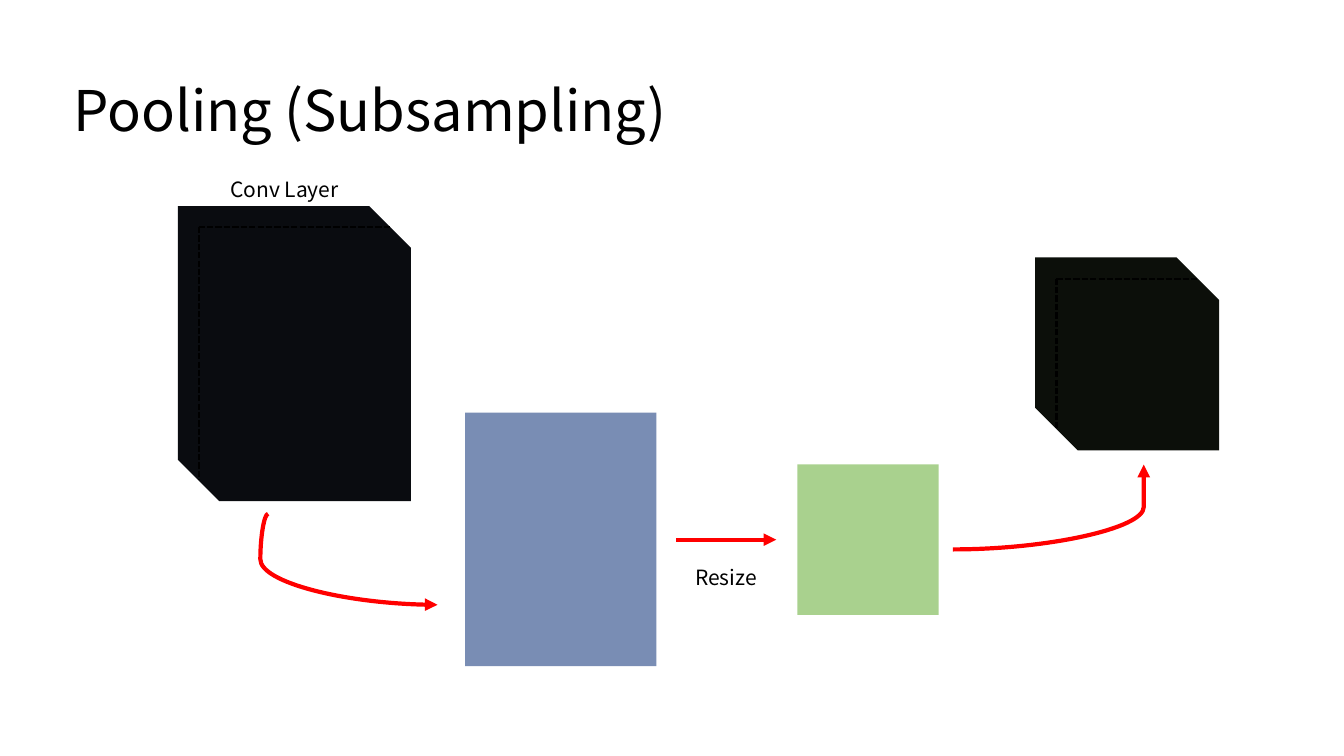
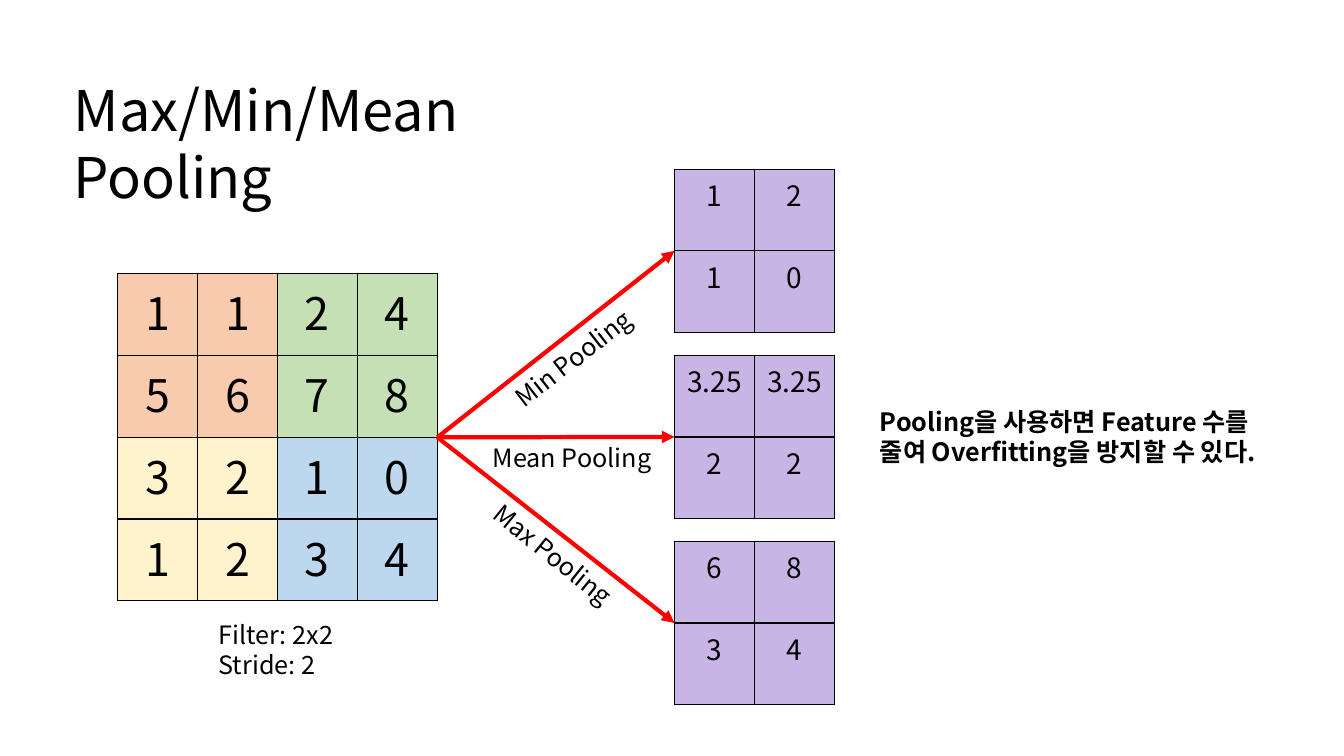
"""Build two slides that explain pooling in convolutional networks."""
from dataclasses import dataclass

from lxml import etree
from pptx import Presentation
from pptx.dml.color import RGBColor
from pptx.enum.dml import MSO_LINE
from pptx.enum.shapes import MSO_CONNECTOR, MSO_SHAPE
from pptx.enum.text import MSO_ANCHOR, PP_ALIGN
from pptx.oxml.ns import qn
from pptx.shapes.autoshape import Shape
from pptx.shapes.connector import Connector
from pptx.slide import Slide
from pptx.text.text import TextFrame
from pptx.util import Pt

LEFT, CENTER = PP_ALIGN.LEFT, PP_ALIGN.CENTER
TOP = MSO_ANCHOR.TOP
STRAIGHT, CURVE = MSO_CONNECTOR.STRAIGHT, MSO_CONNECTOR.CURVE
SNIPPED, RECT = MSO_SHAPE.SNIP_2_DIAG_RECTANGLE, MSO_SHAPE.RECTANGLE
SYS_DASH = MSO_LINE.SQUARE_DOT
FONT = "Noto Sans CJK KR"
TITLE_ONLY = 5
COLORS = {
    "black": "000000", "red": "FF0000", "conv": "0A0C10", "sheet": "798DB4",
    "pooled": "0C0F0A", "pooled_sheet": "A9D18E", "orange": "F8CBAD",
    "green": "C5E0B4", "yellow": "FFF3CD", "blue": "BDD7EE", "purple": "C9B4E6",
}
CELL_W, CELL_H = 57.1, 58.4


@dataclass
class Label:
    text: str
    x: float
    y: float
    w: float
    h: float
    size: float = 18
    align: PP_ALIGN = LEFT
    rotation: float = 0
    bold: bool = False


@dataclass
class Stack:
    x: float
    y: float
    w: float
    h: float
    adj: float
    color: str
    sheet_x: float
    sheet_y: float
    sheet_color: str


@dataclass
class Grid:
    x: float
    y: float
    size: float
    rows: list[list[str]]
    colors: list[list[str]]

    @property
    def middle(self) -> float:
        return self.y + len(self.rows) * CELL_H / 2

    @property
    def right(self) -> float:
        return self.x + len(self.rows[0]) * CELL_W


def rgb(name: str) -> RGBColor:
    return RGBColor.from_string(COLORS[name])


def style_text(tf: TextFrame, size: float, align: PP_ALIGN = LEFT,
               bold: bool = False) -> None:
    for p in tf.paragraphs:
        p.alignment = align
        for r in p.runs:
            r.font.name = FONT
            r.font.size = Pt(size)
            r.font.bold = bold
            r.font.color.rgb = rgb("black")
            ea = etree.SubElement(r.font._element, qn("a:ea"))
            ea.set("typeface", FONT)


def add_titled_slide(prs: Presentation, title: str, w: float, h: float) -> Slide:
    s = prs.slides.add_slide(prs.slide_layouts[TITLE_ONLY])
    sp = s.shapes.title
    sp.left, sp.top, sp.width, sp.height = Pt(45.4), Pt(50.4), Pt(w), Pt(h)
    tf = sp.text_frame
    tf.text = title
    tf.word_wrap = True
    tf.vertical_anchor = TOP
    style_text(tf, 40)
    return s


def add_label(s: Slide, label: Label) -> None:
    sp = s.shapes.add_textbox(Pt(label.x), Pt(label.y), Pt(label.w), Pt(label.h))
    sp.rotation = label.rotation
    tf = sp.text_frame
    tf.word_wrap = True
    tf.text = label.text
    style_text(tf, label.size, label.align, label.bold)


def add_line(s: Slide, x1: float, y1: float, x2: float, y2: float,
             color: str, width: float, kind: MSO_CONNECTOR = STRAIGHT) -> Connector:
    c = s.shapes.add_connector(kind, Pt(x1), Pt(y1), Pt(x2), Pt(y2))
    c.line.color.rgb = rgb(color)
    c.line.width = Pt(width)
    etree.SubElement(c._element.spPr, qn("a:effectLst"))
    return c


def add_arrow(s: Slide, x1: float, y1: float, x2: float, y2: float,
              bend: float | None = None) -> None:
    kind = STRAIGHT if bend is None else CURVE
    c = add_line(s, x1, y1, x2, y2, "red", 3, kind)
    etree.SubElement(c.line._get_or_add_ln(), qn("a:tailEnd")).set("type", "triangle")
    if bend is not None:
        geom = c._element.spPr.find(qn("a:prstGeom"))
        guides = geom.find(qn("a:avLst"))
        if guides is None:
            guides = etree.SubElement(geom, qn("a:avLst"))
        gd = etree.SubElement(guides, qn("a:gd"))
        gd.set("name", "adj1")
        gd.set("fmla", f"val {round(bend * 100000)}")


def add_block(s: Slide, kind: MSO_SHAPE, x: float, y: float, w: float, h: float,
              color: str) -> Shape:
    sp = s.shapes.add_shape(kind, Pt(x), Pt(y), Pt(w), Pt(h))
    sp.shadow.inherit = False
    sp.fill.solid()
    sp.fill.fore_color.rgb = rgb(color)
    sp.line.fill.background()
    return sp


def add_stack(s: Slide, st: Stack) -> None:
    depth = st.adj * min(st.w, st.h)
    w, h = st.w - depth, st.h - depth
    x, y = st.x + depth / 2, st.y + depth / 2
    solid = add_block(s, SNIPPED, st.x, st.y, st.w, st.h, st.color)
    solid.adjustments[0] = 0
    solid.adjustments[1] = st.adj
    add_block(s, RECT, st.sheet_x, st.sheet_y, w, h, st.sheet_color)
    for x2, y2 in ((x + w, y), (x, y + h)):
        add_line(s, x, y, x2, y2, "black", 1.5).line.dash_style = SYS_DASH


def add_grid(s: Slide, grid: Grid) -> None:
    n_rows, n_cols = len(grid.rows), len(grid.rows[0])
    table = s.shapes.add_table(n_rows, n_cols, Pt(grid.x), Pt(grid.y),
                               Pt(n_cols * CELL_W), Pt(n_rows * CELL_H)).table
    table.first_row = table.horz_banding = False
    for col in table.columns:
        col.width = Pt(CELL_W)
    for i, row in enumerate(table.rows):
        row.height = Pt(CELL_H)
        for j, cell in enumerate(row.cells):
            cell.text_frame.text = grid.rows[i][j]
            style_text(cell.text_frame, grid.size, CENTER)
            tc_pr = cell._tc.get_or_add_tcPr()
            for side in ("a:lnL", "a:lnR", "a:lnT", "a:lnB"):
                ln = etree.SubElement(tc_pr, qn(side), w=str(Pt(1)))
                fill = etree.SubElement(ln, qn("a:solidFill"))
                etree.SubElement(fill, qn("a:srgbClr"), val=COLORS["black"])
            cell.fill.solid()
            cell.fill.fore_color.rgb = rgb(grid.colors[i][j])


def build_subsampling(prs: Presentation) -> None:
    s = add_titled_slide(prs, "Pooling (Subsampling)", 450, 55.4)
    stacks = [
        Stack(127.1, 147.3, 166.3, 210.7, 0.178, "conv", 332.2, 294.7, "sheet"),
        Stack(739.4, 183.8, 131.4, 138, 0.232, "pooled", 569.5, 331.7, "pooled_sheet"),
    ]
    for st in stacks:
        add_stack(s, st)
    add_arrow(s, 191.5, 367, 312.5, 432, bend=-0.046)
    add_arrow(s, 483, 385.5, 554.5, 385.5)
    add_arrow(s, 680.6, 392.5, 817, 332, bend=1)
    add_label(s, Label("Resize", 486.2, 399.6, 64.8, 25.2, 15, CENTER))
    add_label(s, Label("Conv Layer", 149.2, 122.4, 108, 25.2, 15, CENTER))


def build_pooling_kinds(prs: Presentation) -> None:
    s = add_titled_slide(prs, "Max/Min/Mean Pooling", 342.7, 104.4)
    upper = ["orange"] * 2 + ["green"] * 2
    lower = ["yellow"] * 2 + ["blue"] * 2
    source = Grid(84, 195.6, 32,
                  [list("1124"), list("5678"), list("3210"), list("1234")],
                  [upper, upper, lower, lower])
    add_grid(s, source)
    results = [
        [["1", "2"], ["1", "0"]],
        [["3.25", "3.25"], ["2", "2"]],
        [["6", "8"], ["3", "4"]],
    ]
    for i, rows in enumerate(results):
        grid = Grid(481.8, 120.8 + i * 132.9, 20, rows, [["purple"] * 2] * 2)
        add_grid(s, grid)
        add_arrow(s, source.right, source.middle, grid.x, grid.middle)
    labels = [
        Label("Filter: 2x2\nStride: 2", 149, 438.5, 97.2, 51),
        Label("Max Pooling", 336.2, 384.5, 125.3, 28.8, rotation=39),
        Label("Mean Pooling", 344.9, 312.5, 148.3, 28.8),
        Label("Min Pooling", 349.2, 230.4, 148.3, 28.8, rotation=322),
        Label("Pooling을 사용하면 Feature 수를 줄여 Overfitting을 방지할 수 있다.",
              621.4, 286.6, 301.7, 51, bold=True),
    ]
    for label in labels:
        add_label(s, label)


def main() -> None:
    prs = Presentation()
    prs.slide_width, prs.slide_height = Pt(960), Pt(540)
    build_subsampling(prs)
    build_pooling_kinds(prs)
    prs.save("out.pptx")


if __name__ == "__main__":
    main()
